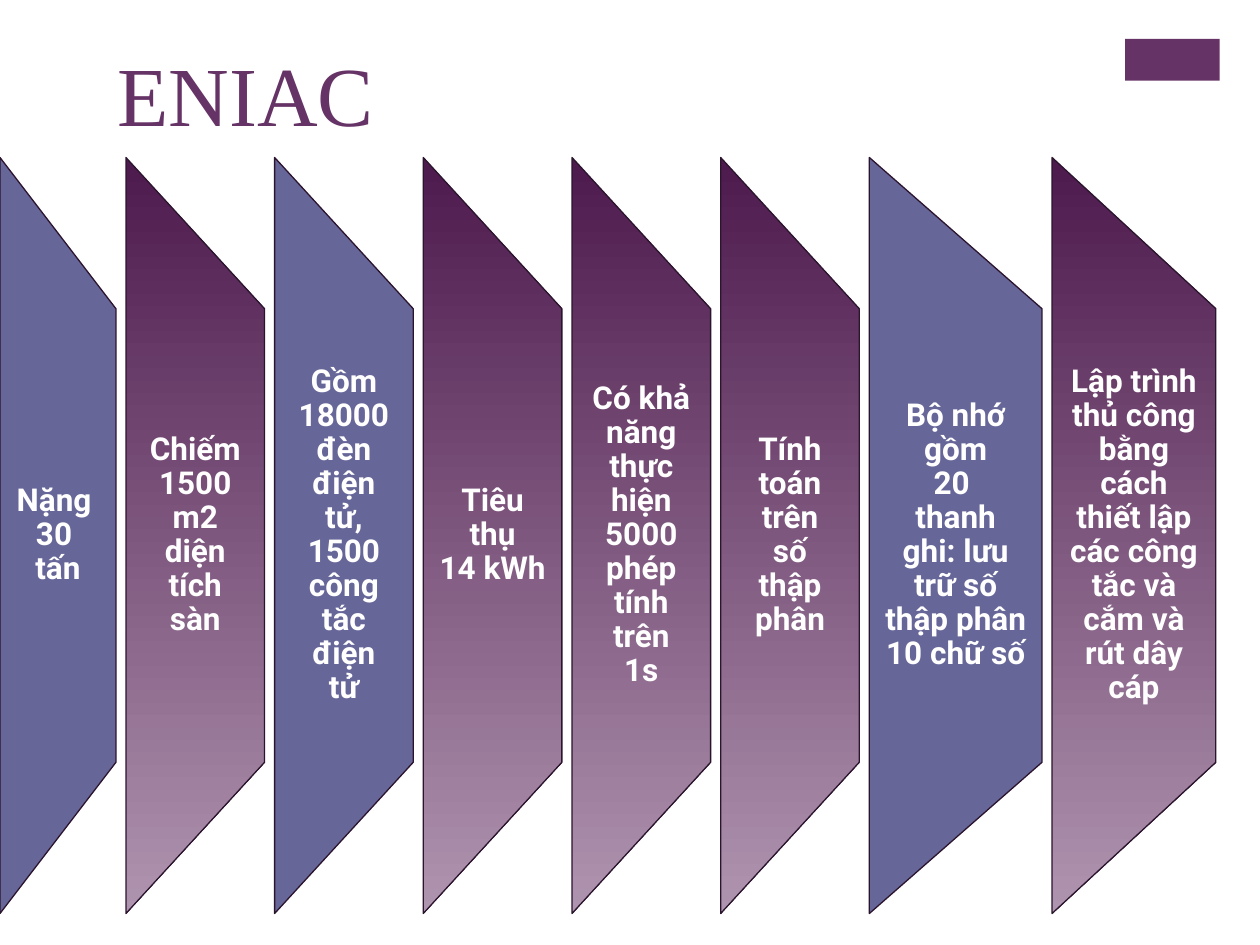
import pptx
import pptx.util
import pptx.dml.color
import pptx.enum.shapes
import pptx.enum.text

Inches = pptx.util.Inches
Pt = pptx.util.Pt
SHAPE = pptx.enum.shapes.MSO_SHAPE
ALIGN = pptx.enum.text.PP_ALIGN
MIDDLE = pptx.enum.text.MSO_ANCHOR.MIDDLE

COLORS = {"plum": "663366", "blue": "666699", "dark": "4D1A4D",
          "light": "AF94AF", "edge": "2B142D", "white": "FFFFFF"}

TOP, TALL, GAP = 1.25, 6, 0.08

# Width, fill and text of each panel, from left to right
PANELS = [
    (0.92, "blue", "Nặng \n30 \ntấn"),
    (1.1, "fade", "Chiếm\n1500\nm2\ndiện\ntích\nsàn"),
    (1.1, "blue", "Gồm\n18000\nđèn\nđiện\ntử,\n1500\ncông\ntắc\nđiện\ntử"),
    (1.1, "fade", "Tiêu\nthụ\n14 kWh"),
    (1.1, "fade", "Có khả\nnăng\nthực\nhiện\n5000\nphép\ntính\ntrên\n1s"),
    (1.1, "fade", "Tính\ntoán\ntrên\nsố\nthập\nphân"),
    (1.37, "blue", "Bộ nhớ\ngồm\n20 \nthanh\nghi: lưu trữ số thập phân 10 chữ số"),
    (1.3, "fade", "Lập trình thủ công bằng cách thiết lập các công tắc "
                  "và cắm và rút dây cáp"),
]


def color(name):
    return pptx.dml.color.RGBColor.from_string(COLORS[name])


def write(frame, text, font="Roboto", size=18, ink="white", bold=False,
          align=ALIGN.LEFT, space=1.0, inset=0.1):
    frame.word_wrap = True
    frame.auto_size = pptx.enum.text.MSO_AUTO_SIZE.NONE
    frame.vertical_anchor = MIDDLE
    frame.margin_left = frame.margin_right = Inches(inset)
    frame.margin_top = frame.margin_bottom = 0
    para = frame.paragraphs[0]
    para.text = text
    para.alignment = align
    para.line_spacing = space
    for run in para.runs:
        run.font.name = font
        run.font.size = Pt(size)
        run.font.bold = bold
        run.font.color.rgb = color(ink)


def paint(shape, name):
    shape.shadow.inherit = False
    fill = shape.fill
    if name != "fade":
        fill.solid()
        fill.fore_color.rgb = color(name)
        return
    fill.gradient()
    fill.gradient_angle = 270
    for stop, tone in zip(fill.gradient_stops, ("dark", "light")):
        stop.color.rgb = color(tone)
    # Keep the fade upright although the shape is turned
    grad = shape.element.spPr.find(pptx.oxml.ns.qn("a:gradFill"))
    grad.set("rotWithShape", "0")


def panel(slide, left, width, fill, text):
    # The shape lies flat around its centre, then turns upright
    shape = slide.shapes.add_shape(
        SHAPE.FLOWCHART_MANUAL_OPERATION,
        Inches(left + (width - TALL) / 2), Inches(TOP + (TALL - width) / 2),
        Inches(TALL), Inches(width))
    shape.rotation = 270
    paint(shape, fill)
    shape.line.color.rgb = color("edge")
    shape.line.width = Pt(0.75)
    box = slide.shapes.add_textbox(Inches(left), Inches(TOP + TALL / 5),
                                   Inches(width), Inches(TALL * 3 / 5))
    write(box.text_frame, text, bold=True, align=ALIGN.CENTER,
          space=0.9, inset=0.12)


def main():
    deck = pptx.Presentation()
    deck.slide_width, deck.slide_height = Inches(10), Inches(7.5)
    slide = deck.slides.add_slide(deck.slide_layouts[5])

    # Corner block
    block = slide.shapes.add_shape(SHAPE.RECTANGLE, Inches(8.93), Inches(0.31),
                                   Inches(0.75), Inches(0.33))
    paint(block, "plum")
    block.line.fill.background()

    # Title
    title = slide.shapes.title
    title.left, title.top = Inches(0.83), Inches(0.25)
    title.width, title.height = Inches(8.26), Inches(0.97)
    write(title.text_frame, "ENIAC", font="Times New Roman", size=48, ink="plum")

    # Row of panels
    left = 0
    for width, fill, text in PANELS:
        panel(slide, left, width, fill, text)
        left += width + GAP

    deck.save("out.pptx")


if __name__ == "__main__":
    main()
